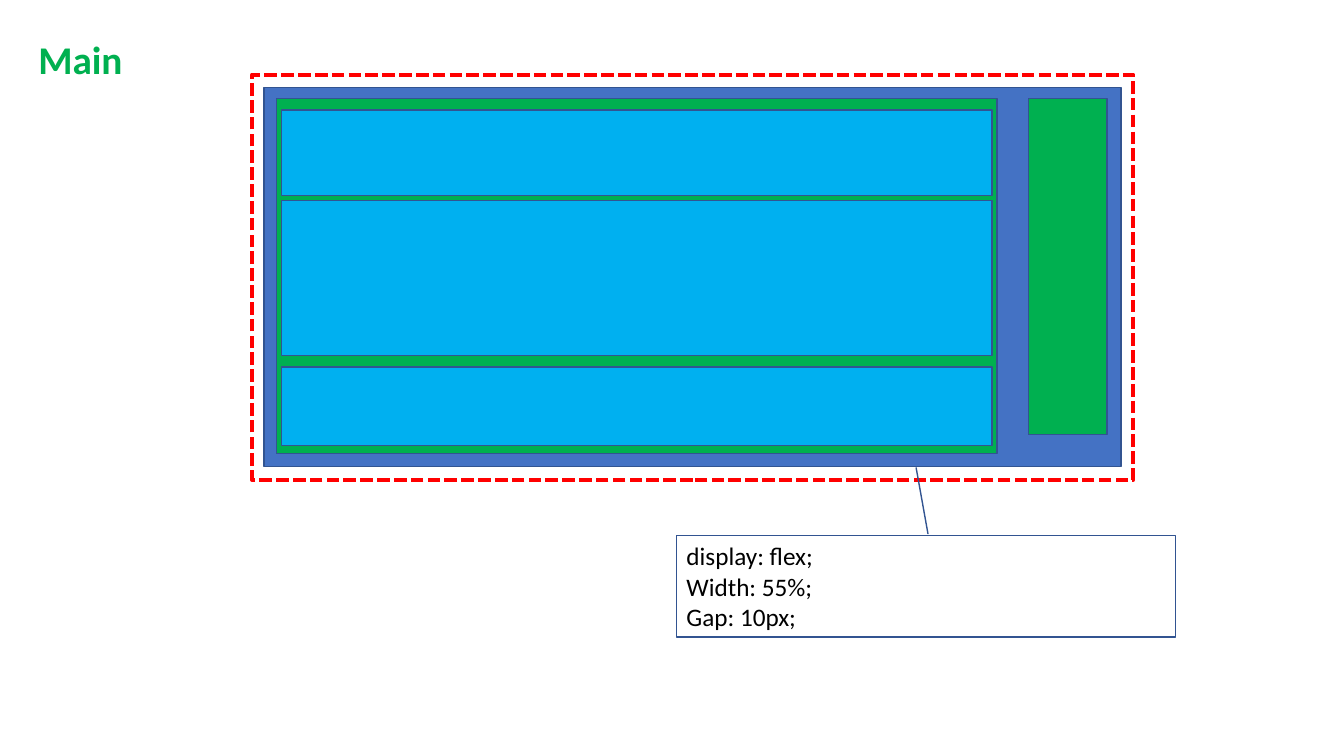
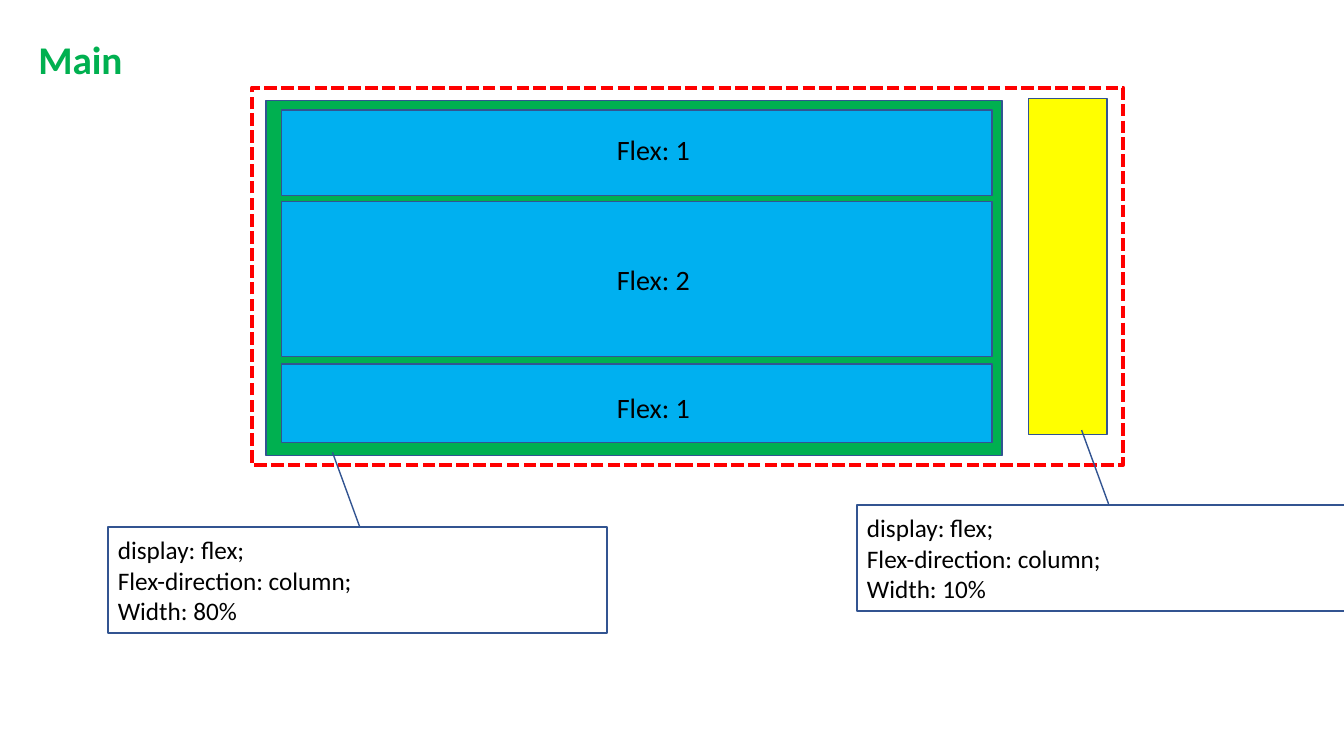
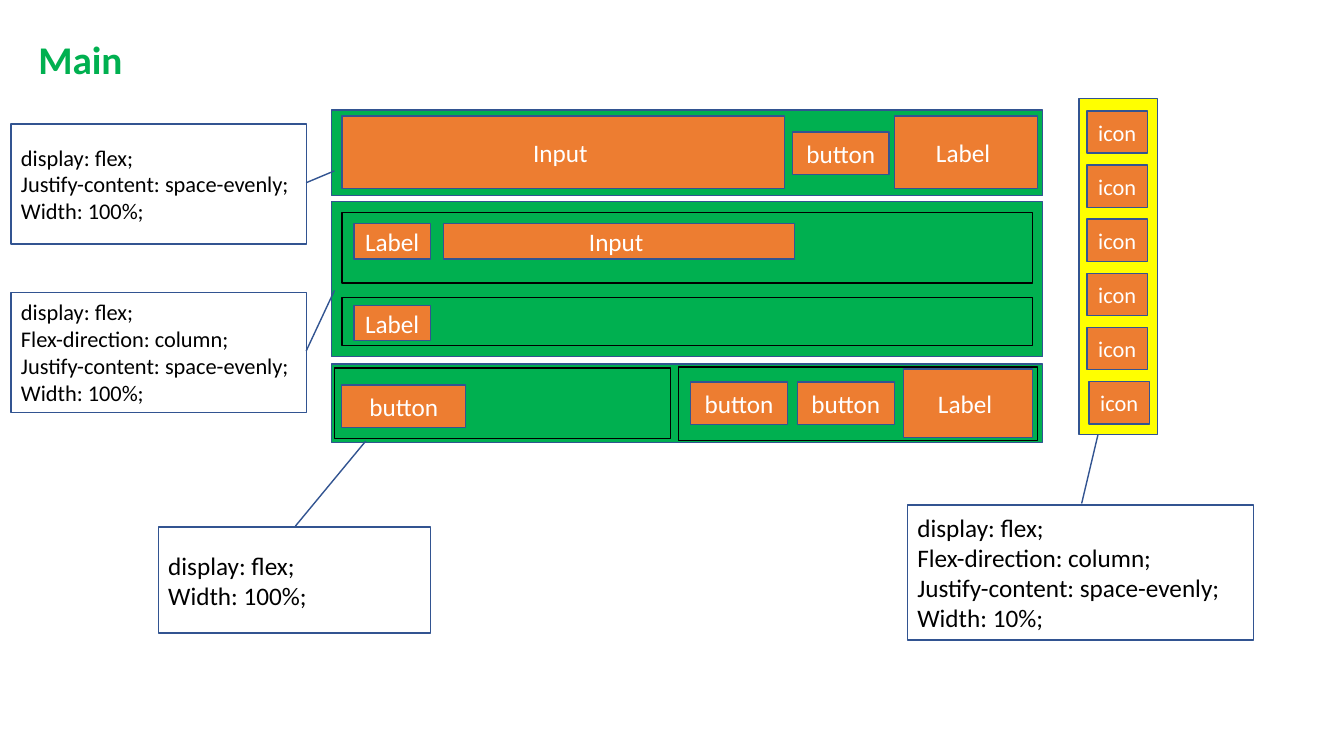
import pptx
import pptx.util
import pptx.dml.color
import pptx.enum.dml
import pptx.enum.shapes
import pptx.enum.text

COLORS = {
    "title": "00B050", "green": "00B050", "blue": "4472C4", "sky": "00B0F0",
    "yellow": "FFFF00", "orange": "ED7D31", "outline": "325491",
    "red": "FF0000", "black": "000000", "white": "FFFFFF",
}
FONT = "Calibri"
CELL = pptx.util.Inches(1)  # side of one square of the slide grid
RECTANGLE = pptx.enum.shapes.MSO_SHAPE.RECTANGLE
CALLOUT = pptx.enum.shapes.MSO_SHAPE.LINE_CALLOUT_1
LEFT = pptx.enum.text.PP_ALIGN.LEFT
CENTER = pptx.enum.text.PP_ALIGN.CENTER

# Layout rules of the page panels, in grid cells
ROW_WIDTH = 7.05
ROW_HEIGHTS = [0.85, 1.54, 0.78]
ROW_TOPS = [1.09, 2, 3.61]
SIDEBAR_TOP, SIDEBAR_WIDTH, SIDEBAR_HEIGHT = 0.98, 0.78, 3.33


def write(shape, lines, size, color, alignment=LEFT, bold=False):
    """Fill a shape with one paragraph per line, all in one style."""
    frame = shape.text_frame
    frame.text = "\n".join(lines)
    for paragraph in frame.paragraphs:
        paragraph.alignment = alignment
        paragraph.font.name = FONT
        paragraph.font.size = pptx.util.Pt(size)
        paragraph.font.bold = bold
        paragraph.font.color.rgb = pptx.dml.color.RGBColor.from_string(COLORS[color])


def add_box(slide, area, fill=None, line="outline", width=1, kind=RECTANGLE):
    """Add an outlined shape at (left, top, width, height) in grid cells."""
    shape = slide.shapes.add_shape(kind, *(round(length * CELL) for length in area))
    shape.shadow.inherit = False
    if fill:
        shape.fill.solid()
        shape.fill.fore_color.rgb = pptx.dml.color.RGBColor.from_string(COLORS[fill])
    else:
        shape.fill.background()
    shape.line.color.rgb = pptx.dml.color.RGBColor.from_string(COLORS[line])
    shape.line.width = pptx.util.Pt(width)
    return shape


presentation = pptx.Presentation()
presentation.slide_width = round(13.33 * CELL)
presentation.slide_height = round(7.5 * CELL)

# Shared title
slides = []
for number in range(3):
    slide = presentation.slides.add_slide(presentation.slide_layouts[5])
    title = slide.shapes.title
    title.left, title.top = round(0.28 * CELL), round(0.3 * CELL)
    title.width, title.height = round(1.14 * CELL), round(0.57 * CELL)
    write(title, ["Main "], 28, "title", bold=True)
    title.text_frame.word_wrap = False
    title.text_frame.auto_size = pptx.enum.text.MSO_AUTO_SIZE.SHAPE_TO_FIT_TEXT
    title.text_frame.vertical_anchor = pptx.enum.text.MSO_ANCHOR.TOP
    slides.append(slide)
overview, columns, details = slides

# Page panels: container, main column and sidebar
add_box(overview, (2.62, 0.87, 8.5, 3.76), "blue")
for slide, frame_area, main_area, sidebar_left, sidebar_fill in [
    (overview, (2.5, 0.74, 8.74, 4.02), (2.74, 0.98, 7.15, 3.52), 10.2, "green"),
    (columns, (2.5, 0.87, 8.64, 3.74), (2.64, 1, 7.3, 3.52), 10.2, "yellow"),
    (details, None, None, 10.7, "yellow"),
]:
    if frame_area:
        frame = add_box(slide, frame_area, line="red", width=3)
        frame.line.dash_style = pptx.enum.dml.MSO_LINE.SQUARE_DOT
        add_box(slide, main_area, "green")
    add_box(slide, (sidebar_left, SIDEBAR_TOP, SIDEBAR_WIDTH, SIDEBAR_HEIGHT), sidebar_fill)

# Three stacked rows in the main column
for slide, left, tops, fill in [
    (overview, 2.79, [1.09, 1.99, 3.64], "sky"),
    (columns, 2.79, ROW_TOPS, "sky"),
    (details, 3.29, ROW_TOPS, "green"),
]:
    for top, height in zip(tops, ROW_HEIGHTS):
        add_box(slide, (left, top, ROW_WIDTH, height), fill)

# Flex share of each row
for top, share in [(1.27, 1), (2.56, 2), (3.82, 1)]:
    label = columns.shapes.add_textbox(
        *(round(length * CELL) for length in (6.02, top, 0.93, 0.44)))
    write(label, [f"Flex: {share}"], 20, "black")
    label.text_frame.word_wrap = False

# Groups inside the rows of the detailed view
for area in [
    (3.39, 2.11, 6.85, 0.7), (3.39, 2.95, 6.85, 0.48),
    (3.32, 3.65, 3.33, 0.7), (6.73, 3.64, 3.56, 0.73),
]:
    add_box(details, area, line="black")

# Controls, then the column of icons in the sidebar
controls = [
    ("Input ", 18, (3.39, 1.15, 4.39, 0.72)),
    ("button", 18, (7.86, 1.31, 0.96, 0.42)),
    ("Label ", 18, (8.87, 1.15, 1.42, 0.72)),
    ("Label ", 18, (3.51, 2.22, 0.76, 0.35)),
    ("Input ", 18, (4.4, 2.22, 3.48, 0.35)),
    ("Label ", 18, (3.51, 3.03, 0.76, 0.35)),
    ("button", 18, (3.39, 3.82, 1.23, 0.42)),
    ("button", 18, (6.85, 3.79, 0.96, 0.42)),
    ("button", 18, (7.91, 3.79, 0.96, 0.42)),
    ("Label ", 18, (8.96, 3.66, 1.28, 0.68)),
]
ICON_COUNT, ICON_STEP = 6, 0.537
for index in range(ICON_COUNT):
    icon_left = 10.8 if index == ICON_COUNT - 1 else 10.78
    controls.append(("icon", 16, (icon_left, 1.1 + index * ICON_STEP, 0.6, 0.42)))
for name, size, area in controls:
    write(add_box(details, area, "orange"), [name], size, "white", CENTER)

# Callouts: pointer start (y, x) and end (y, x) are shares of the box
FLEX, COLUMN = "display: flex;", "Flex-direction: column;"
EVENLY, FULL = "Justify-content: space-evenly;", "Width: 100%;"
ABOVE, RIGHT = (-0.011, 0.504), (0.49, 0.999)
for slide, area, start, end, size, lines in [
    (overview, (6.71, 5.31, 4.95, 1.01), ABOVE, (-0.666, 0.48), 18,
     [FLEX, "Width: 55%;", "Gap: 10px;"]),
    (columns, (1.07, 5.23, 4.95, 1.05), ABOVE, (-0.708, 0.45), 18,
     [FLEX, COLUMN, "Width: 80%"]),
    (columns, (8.5, 5.01, 4.95, 1.05), ABOVE, (-0.708, 0.45), 18,
     [FLEX, COLUMN, "Width: 10%"]),
    (details, (1.57, 5.23, 2.7, 1.05), ABOVE, (-0.813, 0.762), 18, [FLEX, FULL]),
    (details, (9, 5.01, 3.43, 1.34), ABOVE, (-0.519, 0.551), 18,
     [FLEX, COLUMN, EVENLY, "Width: 10%;"]),
    (details, (0.11, 1.23, 2.93, 1.19), RIGHT, (0.391, 1.095), 16, [FLEX, EVENLY, FULL]),
    (details, (0.11, 2.9, 2.93, 1.19), RIGHT, (-0.016, 1.095), 16,
     [FLEX, COLUMN, EVENLY, FULL]),
]:
    callout = add_box(slide, area, kind=CALLOUT)
    for index, share in enumerate(start + end):
        callout.adjustments[index] = share
    write(callout, lines, size, "black")

presentation.save("out.pptx")
